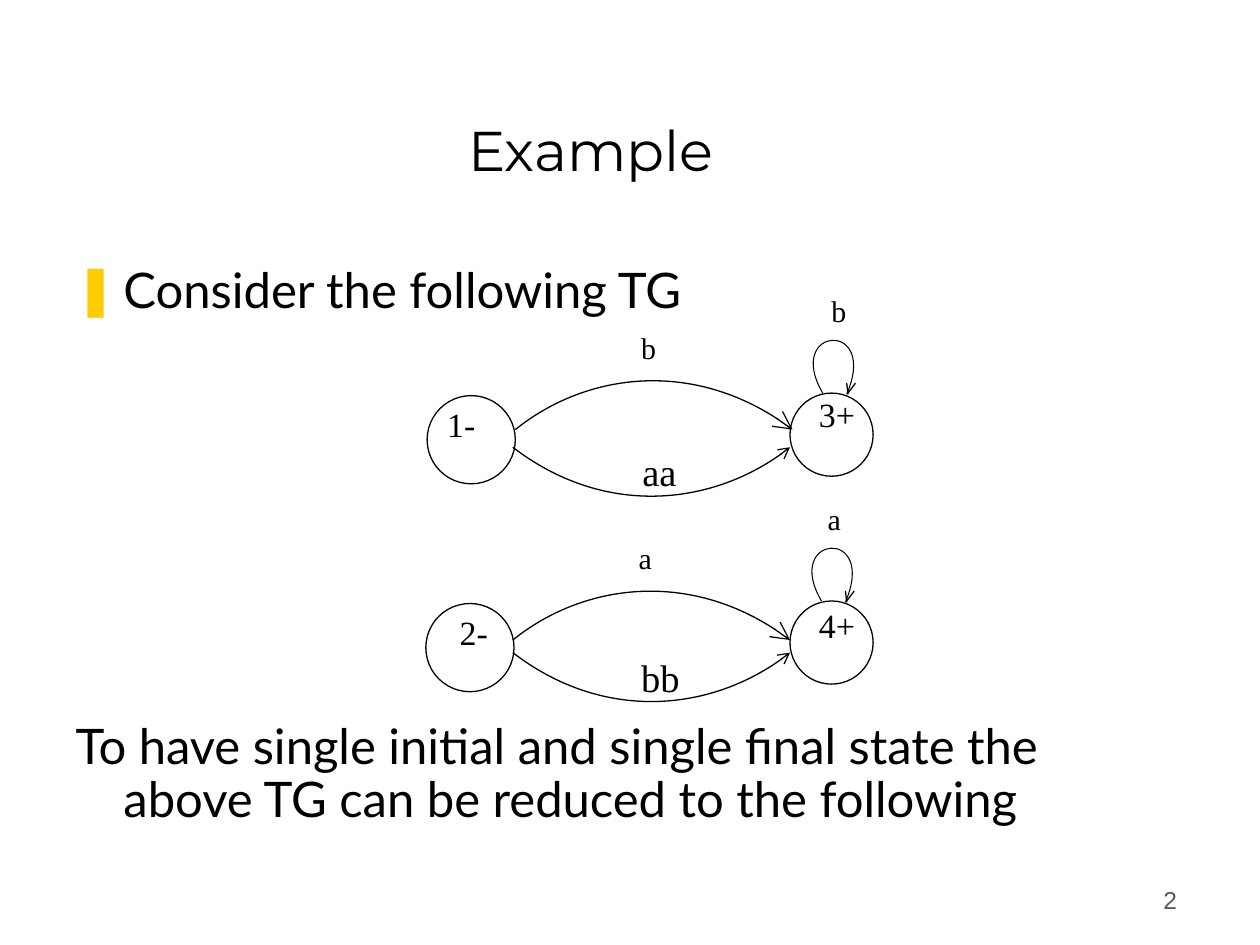
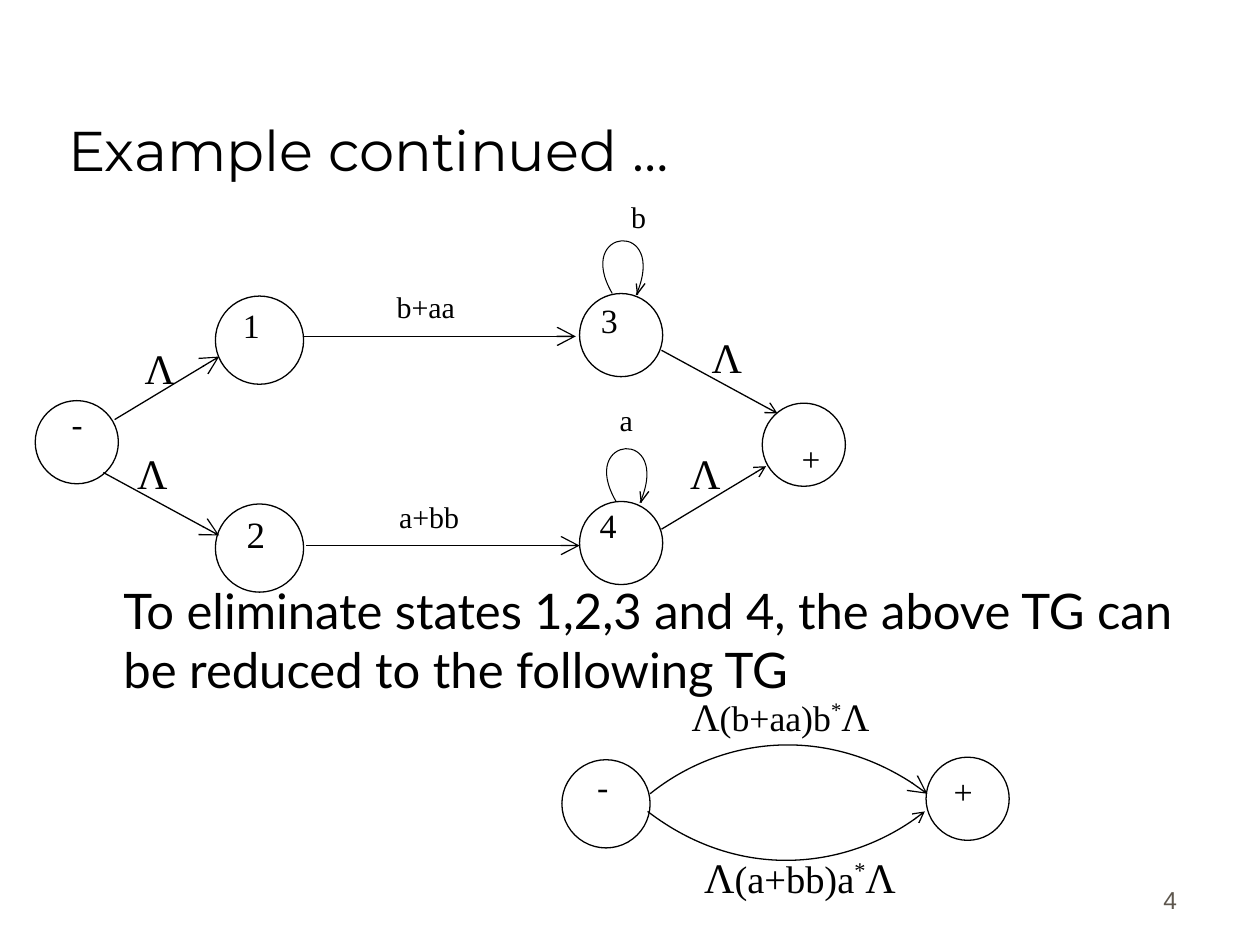
import pptx
import pptx.util
import pptx.dml.color
import pptx.enum.shapes
import pptx.enum.text
import lxml.etree

Inches, Pt = pptx.util.Inches, pptx.util.Pt
tint = pptx.dml.color.RGBColor.from_string
align = pptx.enum.text.PP_ALIGN
anchor = pptx.enum.text.MSO_ANCHOR
kinds = pptx.enum.shapes
DML = "{http://schemas.openxmlformats.org/drawingml/2006/main}"
BLACK, WHITE, GREY, GOLD = "000000", "FFFFFF", "5E574E", "FFCC00"
SERIF = "Times New Roman"


def ink(shape, width=0.75, head=None):
    """Give a shape a black line, with an open arrowhead of the given size."""
    shape.line.color.rgb = tint(BLACK)
    shape.line.width = Pt(width)
    if head:
        lxml.etree.SubElement(shape.line._get_or_add_ln(), DML + "tailEnd",
                              type="arrow", w=head, len=head)


def note(slide, text, x, y, w, h, size, space=1.0, face=SERIF, color=BLACK):
    """Place a text box and return it with its paragraph."""
    box = slide.shapes.add_textbox(Inches(x), Inches(y), Inches(w), Inches(h))
    box.text_frame.word_wrap = True
    para = box.text_frame.paragraphs[0]
    para.text = text
    para.line_spacing = space
    para.font.name, para.font.size = face, Pt(size)
    para.font.color.rgb = tint(color)
    return box, para


deck = pptx.Presentation()
deck.slide_width, deck.slide_height = Inches(10), Inches(7.5)

# Titles, body text and page numbers
# page, title, alignment, body top, line spacing, (text, indent, space before)
pages = [
    ("2", "Example", align.CENTER, 2.06, 0.9, [
        ("Consider the following TG", -0.38, 0),
        ("To have single initial and single final state the "
         "above TG can be reduced to the following", -0.38, 230.5)]),
    ("4", "Example continued …", align.LEFT, 4.56, 1.0, [
        ("To eliminate states 1,2,3 and 4, the above TG can "
         "be reduced to the following TG", 0, 0)]),
]
slides = []
for number, head, side, top, space, lines in pages:
    slide = deck.slides.add_slide(deck.slide_layouts[1])
    slides.append(slide)

    title = slide.shapes.title
    title.left, title.top = Inches(0.44), Inches(0.25)
    title.width, title.height = Inches(8.5), Inches(1.25)
    title.text_frame.text = head
    title.text_frame.vertical_anchor = anchor.BOTTOM
    para = title.text_frame.paragraphs[0]
    para.alignment = side
    para.font.name, para.font.size = "Montserrat", Pt(32)
    para.font.color.rgb = tint(BLACK)

    body = slide.placeholders[1]
    body.left, body.top = Inches(0.5), Inches(top)
    body.width, body.height = Inches(8.94), Inches(6.62 - top)
    body.text_frame.text = "\n".join(line[0] for line in lines)
    body.text_frame.auto_size = pptx.enum.text.MSO_AUTO_SIZE.NONE
    for para, (text, indent, before) in zip(body.text_frame.paragraphs, lines):
        para.line_spacing = space
        para.space_before = Pt(before)
        props = para._p.get_or_add_pPr()
        props.set("marL", str(Inches(0.38)))
        props.set("indent", str(Inches(indent)))
        if text.startswith("Consider"):
            color = lxml.etree.SubElement(props, DML + "buClr")
            lxml.etree.SubElement(color, DML + "srgbClr", val=GOLD)
            lxml.etree.SubElement(props, DML + "buChar", char="❚")
        else:
            lxml.etree.SubElement(props, DML + "buNone")
        para.font.name, para.font.size = "Lato", Pt(28)
        para.font.color.rgb = tint(BLACK)

    box, para = note(slide, number, 7.36, 6.81, 2.08, 0.5, 14,
                     face="Arial", color=GREY)
    box.text_frame.vertical_anchor = anchor.BOTTOM
    para.alignment = align.RIGHT

first, second = slides

# States: slide, left, top, size
states = [
    (first, 3.39, 3.14, 0.7), (first, 6.27, 3.12, 0.66),
    (first, 3.38, 4.79, 0.7), (first, 6.27, 4.77, 0.66),
    (second, 1.71, 2.35, 0.7), (second, 4.6, 2.33, 0.66),
    (second, 1.71, 4, 0.7), (second, 4.6, 3.98, 0.66),
    (second, 0.28, 3.18, 0.66), (second, 6.05, 3.2, 0.66),
    (second, 4.46, 6.03, 0.7), (second, 7.35, 6.01, 0.66),
]
for slide, x, y, size in states:
    ring = slide.shapes.add_shape(kinds.MSO_SHAPE.OVAL, Inches(x), Inches(y),
                                  Inches(size), Inches(size))
    ring.shadow.inherit = False
    ring.fill.solid()
    ring.fill.fore_color.rgb = tint(WHITE)
    ink(ring)

# Curved edges: start, two handles and end of each stroke, as offsets;
# a stroke of two points is a straight barb
OVER = [([(0, 0), (0.56, -0.45), (1.47, -0.56), (2.2, 0)], 0.75, "lg")]
UNDER = [([(0, 0), (0.73, 0.56), (1.64, 0.45), (2.2, 0)], 0.75, "med")]
LOOP = [([(0, 0), (-0.31, -0.53), (0.45, -0.59), (0.19, 0.01)], 0.6, None),
        ([(0.2, 0), (0.26, -0.08)], 0.75, None),
        ([(0.19, -0.08), (0.2, 0.01)], 0.75, None)]
curves = [
    (first, 4.09, 3.41, OVER), (first, 4.07, 3.55, UNDER),
    (first, 4.07, 5.08, OVER), (first, 4.07, 5.18, UNDER),
    (second, 5.16, 6.3, OVER), (second, 5.14, 6.44, UNDER),
    (first, 6.53, 3.12, LOOP), (first, 6.52, 4.77, LOOP),
    (second, 4.86, 2.33, LOOP), (second, 4.89, 3.98, LOOP),
]
for slide, x, y, strokes in curves:
    for trail, width, head in strokes:
        spots = [(Inches(x + dx), Inches(y + dy)) for dx, dy in trail]
        pen = slide.shapes.build_freeform(*spots[0])
        pen.add_line_segments(spots[1:], close=False)
        edge = pen.convert_to_shape()
        edge.shadow.inherit = False
        edge.fill.background()
        ink(edge, width, head)
        if len(trail) == 4:
            # Join the three straight segments into one Bezier curve
            track = next(edge._element.iter(DML + "path"))
            bend = lxml.etree.SubElement(track, DML + "cubicBezTo")
            for part in track.findall(DML + "lnTo"):
                bend.append(part[0])
                track.remove(part)

# Straight edges on the second slide: from, to, size of head
edges = [
    (0.91, 3.33, 1.74, 2.83, "lg"), (0.82, 3.75, 1.74, 4.25, "lg"),
    (2.41, 2.67, 4.57, 2.67, "lg"), (2.43, 4.33, 4.6, 4.33, "lg"),
    (5.25, 2.78, 6.17, 3.28, "med"), (5.25, 4.2, 6.08, 3.7, "med"),
]
for *ends, head in edges:
    edge = second.shapes.add_connector(kinds.MSO_CONNECTOR.STRAIGHT,
                                       *[Inches(v) for v in ends])
    ink(edge, head=head)
    lxml.etree.SubElement(edge._element.spPr, DML + "effectLst")

# State names: slide, text, left, top, size
names = [
    (first, "1-", 3.45, 3.22, 19.4), (first, "2-", 3.55, 4.87, 19.4),
    (first, "3+", 6.4, 3.14, 19.4), (first, "4+", 6.4, 4.81, 19.4),
    (second, "1", 1.83, 2.43, 19.4), (second, "3", 4.67, 2.39, 19.4),
    (second, "4", 4.66, 4.02, 19.4), (second, "-", 0.47, 3.21, 18.9),
    (second, "-", 4.64, 6.09, 19.4), (second, "+", 7.47, 6.13, 19.4),
]
for slide, text, x, y, size in names:
    note(slide, text, x, y, 1.02, 0.42, size, 0.8)
note(second, "2", 1.86, 4.05, 1.02, 0.48, 21.2, 0.9)
box, para = note(second, "+", 5.59, 3.4, 1.02, 0.42, 18.9, 0.8)
box.rotation = 180

# Edge labels: slide, text, left, top, width
labels = [
    (first, "b", 4.99, 2.62, 0.41), (first, "a", 4.97, 4.29, 0.41),
    (first, "b", 6.5, 2.33, 0.41), (first, "a", 6.47, 3.98, 0.41),
    (second, "b", 4.91, 1.58, 0.41), (second, "a", 4.82, 3.19, 0.41),
    (second, "b+aa", 3.05, 2.3, 1.33), (second, "a+bb", 3.07, 3.96, 1.33),
]
for slide, text, x, y, width in labels:
    note(slide, text, x, y, width, 0.4, 17.1, 0.8)
note(first, "aa", 5, 3.51, 0.49, 0.5, 22)
note(first, "bb", 4.99, 5.14, 0.59, 0.5, 22)
for x, y in [(1.05, 2.67), (0.99, 3.5), (5.55, 2.58), (5.38, 3.5)]:
    note(second, "Λ", x, y, 0.44, 0.5, 24)

# Formulas on the reduced graph: middle, place, sizes, line spacing
formulas = [
    ("(b+aa)b", 5.39, 5.49, 2.21, 22.2, 20.4, 0.9),
    ("(a+bb)a", 5.49, 6.71, 3.26, 24, 22, 1.0),
]
for mid, x, y, width, large, small, space in formulas:
    box, para = note(second, "", x, y, width, 0.5, large, space)
    for text, size in [("Λ", large), (mid, small), ("*", small), ("Λ", large)]:
        run = para.add_run()
        run.text = text
        run.font.size = Pt(size)
        if text == "*":
            run._r.get_or_add_rPr().set("baseline", "40000")

deck.save("out.pptx")
